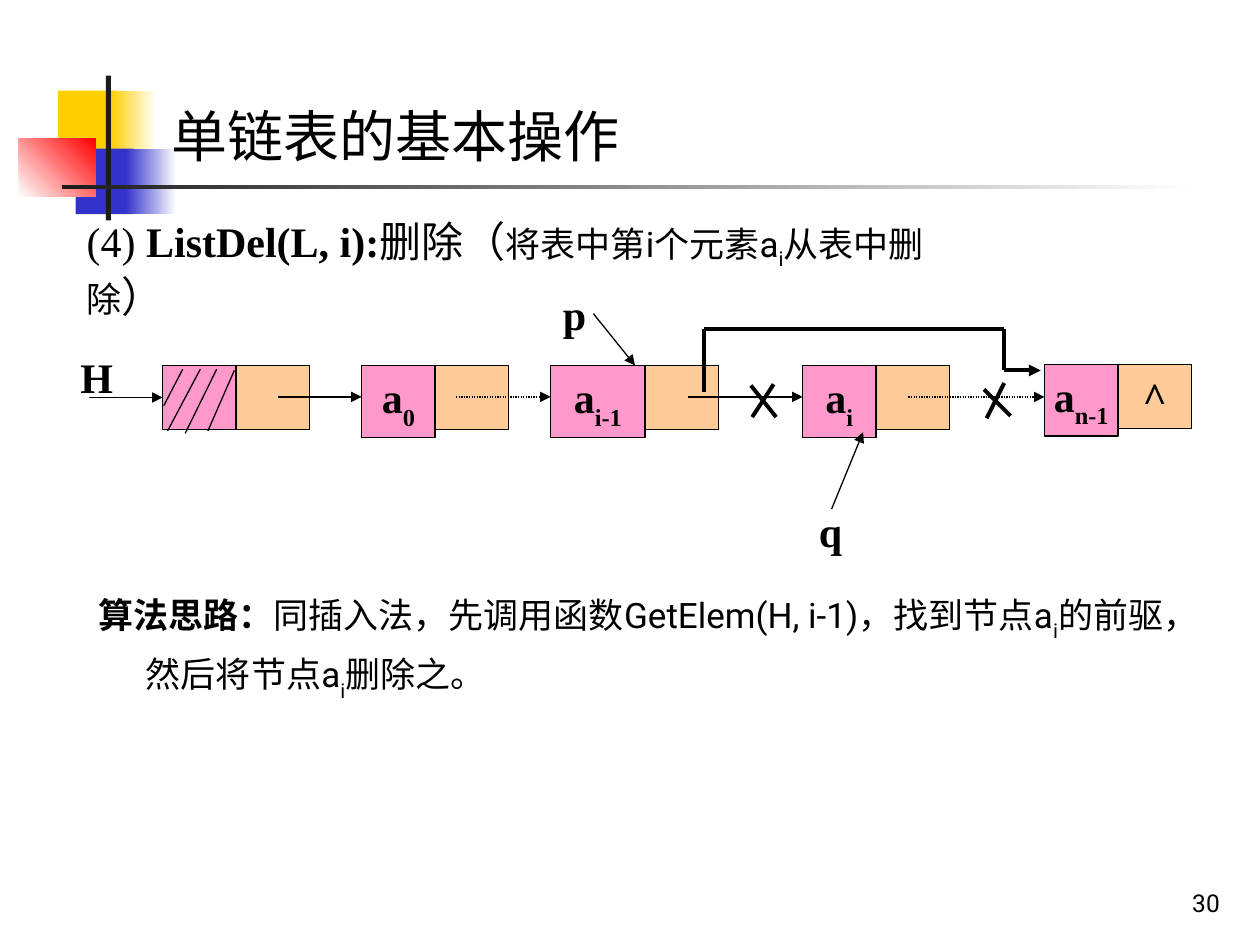
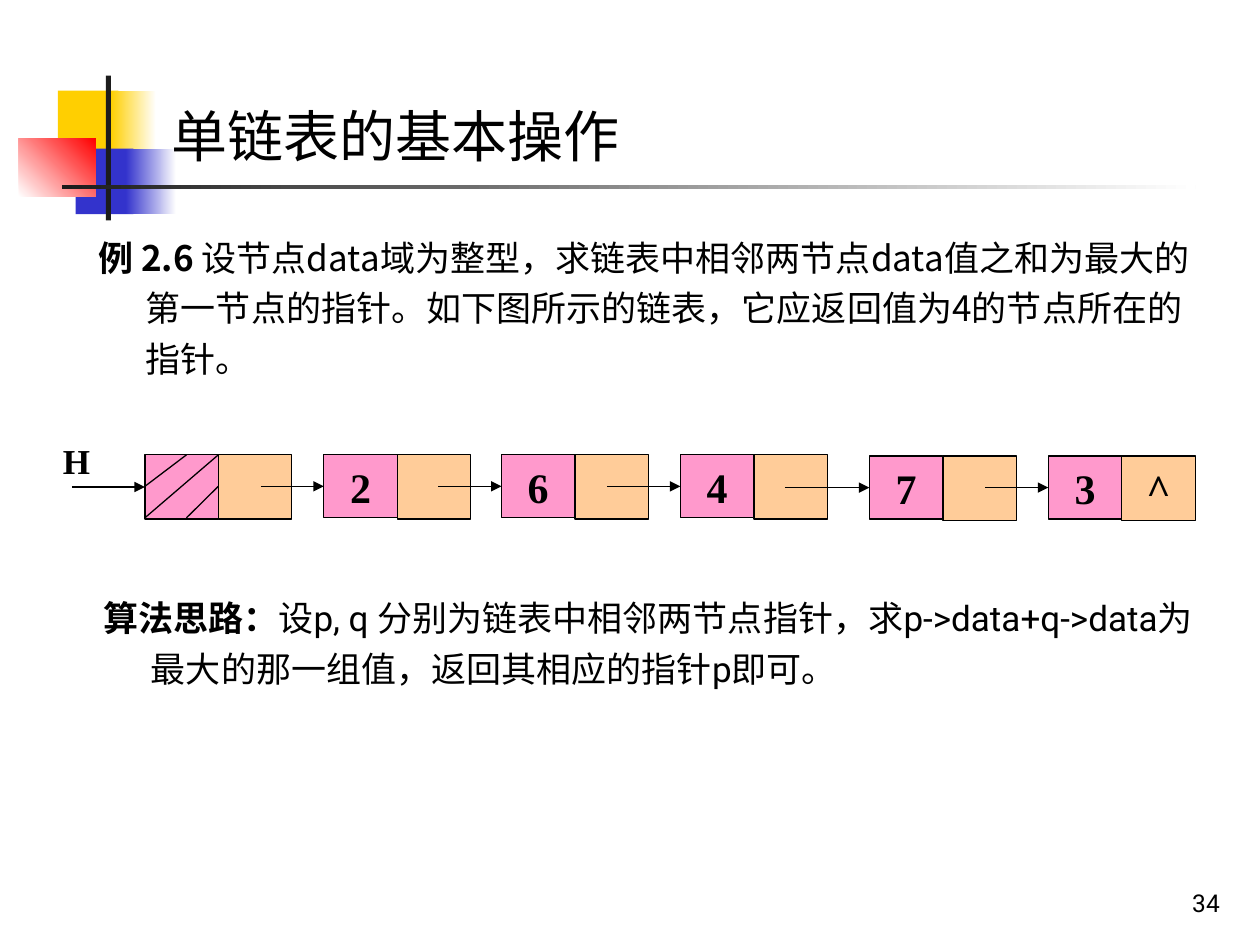
from lxml import etree
from pptx import Presentation
from pptx.dml.color import RGBColor
from pptx.enum import dml, shapes, text
from pptx.oxml import ns
from pptx.util import Inches, Pt

COLUMNS, ROWS = 100, 75
COLORS = {"black": "000000", "white": "FFFFFF", "yellow": "FFCF01", "blue": "3333CC",
          "red": "FF0000", "bar": "1C1C1C", "data": "FF99CC", "pointer": "FFCC99"}
SERIF, SANS, CJK = "Times New Roman", "Roboto", "Noto Sans CJK SC"
STYLES = {
    "title": {"size": 32, "name": "Noto Sans CJK JP", "bold": False, "before": 20},
    "heading": {"size": 24, "name": SERIF, "bold": False, "before": 15},
    "node": {"size": 24, "name": SERIF, "bold": True, "before": 15},
    "small": {"size": 20, "name": SERIF, "bold": True, "before": 12.5},
    "body": {"size": 20, "name": SANS, "bold": False, "before": 5,
             "spacing": 1.2, "hanging": 0.38},
    "number": {"size": 14, "name": SANS, "bold": False, "before": 0},
}
CELL, CELL_HEIGHT = 5.83, 5.1
LABEL = {"bold": True, "name": SERIF}


def apply(target, formats):
    for name, value in formats.items():
        setattr(target, name, value)


def color(name):
    return RGBColor.from_string(COLORS[name])


def sub(label, base=-30):
    return label, {"baseline": base}


class Deck:
    """Holds the shared style and the slide being drawn."""

    def __init__(self):
        self.presentation = Presentation()
        apply(self.presentation, {"slide_width": Inches(10), "slide_height": Inches(7.5)})
        self.slide = None

    def x(self, columns):
        return round(self.presentation.slide_width * columns / COLUMNS)

    def y(self, rows):
        return round(self.presentation.slide_height * rows / ROWS)

    def place(self, left, top, width, height):
        return self.x(left), self.y(top), self.x(width), self.y(height)

    def new_slide(self, title, number):
        self.slide = self.presentation.slides.add_slide(self.presentation.slide_layouts[6])
        # Corner blocks and rules
        self.box((4.6, 7.2, 4.8, 5.2), "yellow")
        self.fade((8.8, 7.2, 3.6, 5.2), "yellow", "white")
        self.box((6, 11.8, 4.6, 5.2), "blue")
        self.fade((10, 11.8, 4, 5.2), "blue", "white")
        self.fade((1.5, 11, 6.1, 4.6), "white", "red", 45)
        self.box((8.4, 6, 0.4, 11.5), "bar")
        self.fade((4.9, 14.7, 90, 0.3), "bar", "white")
        # Title and page number
        self.text((12.6, 7.6, 87.4, 6.4), [title], "title", grow=True)
        corner = self.text((77, 68.3, 20.8, 5), [str(number)], "number",
                           text.PP_ALIGN.RIGHT)
        corner.text_frame.vertical_anchor = text.MSO_ANCHOR.BOTTOM

    def box(self, area, fill, outlined=False):
        shape = self.slide.shapes.add_shape(shapes.MSO_SHAPE.RECTANGLE, *self.place(*area))
        shape.shadow.inherit = False
        shape.fill.solid()
        shape.fill.fore_color.rgb = color(fill)
        if outlined:
            shape.line.color.rgb = color("black")
            shape.line.width = Pt(0.75)
        else:
            shape.line.fill.background()
        return shape

    def fade(self, area, start, end, angle=0):
        fill = self.box(area, start).fill
        fill.gradient()
        fill.gradient_angle = angle
        for stop, name, position in zip(fill.gradient_stops, (start, end), (0, 1)):
            apply(stop, {"position": position})
            stop.color.rgb = color(name)

    def fill_text(self, shape, runs, style, align=text.PP_ALIGN.LEFT, grow=False):
        base = STYLES[style]
        fit = text.MSO_AUTO_SIZE.SHAPE_TO_FIT_TEXT if grow else text.MSO_AUTO_SIZE.NONE
        apply(shape.text_frame, {"word_wrap": True, "auto_size": fit,
                                 "vertical_anchor": text.MSO_ANCHOR.TOP})
        paragraph = shape.text_frame.paragraphs[0]
        apply(paragraph, {"alignment": align, "space_before": Pt(base["before"]),
                          "line_spacing": base.get("spacing", 1.0)})
        if "hanging" in base:
            indent = Inches(base["hanging"])
            properties = paragraph._p.get_or_add_pPr()
            properties.set("marL", str(indent))
            properties.set("indent", str(-indent))
        for item in runs:
            words, changes = (item, {}) if isinstance(item, str) else item
            look = {**base, **changes}
            run = paragraph.add_run()
            run.text = words
            apply(run.font, {"size": Pt(look["size"]), "bold": look["bold"],
                             "name": look["name"]})
            run.font.color.rgb = color("black")
            properties = run._r.get_or_add_rPr()
            east = look["name"] if "CJK" in look["name"] else CJK
            etree.SubElement(properties, ns.qn("a:ea")).set("typeface", east)
            if "baseline" in look:
                properties.set("baseline", str(look["baseline"] * 1000))

    def text(self, area, runs, style, align=text.PP_ALIGN.LEFT, grow=False):
        shape = self.slide.shapes.add_textbox(*self.place(*area))
        self.fill_text(shape, runs, style, align, grow)
        return shape

    def line(self, start, end, width=0.75, arrow=False, dotted=False, target=None):
        connector = self.slide.shapes.add_connector(
            shapes.MSO_CONNECTOR.STRAIGHT, self.x(start[0]), self.y(start[1]),
            self.x(end[0]), self.y(end[1]))
        if target is not None:
            connector.end_connect(target, 1)
        connector.line.color.rgb = color("black")
        connector.line.width = Pt(width)
        if dotted:
            connector.line.dash_style = dml.MSO_LINE.ROUND_DOT
        if arrow:
            outline = connector.line._get_or_add_ln()
            etree.SubElement(outline, ns.qn("a:tailEnd")).set("type", "triangle")
        etree.SubElement(connector._element.spPr, ns.qn("a:effectLst"))

    def link(self, start, target):
        """Arrow from a column to the middle of a cell's left side."""
        row = (target.top + target.height / 2) / self.y(1)
        self.line((start, row), (target.left / self.x(1), row), arrow=True, target=target)

    def node(self, left, top, label=(), width=CELL, height=CELL_HEIGHT, end="", margin=0.1):
        """Data cell and pointer cell side by side; returns the data cell."""
        pointer = self.box((left + width, top, CELL, CELL_HEIGHT), "pointer", True)
        data = self.box((left, top, width, height), "data", True)
        apply(data.text_frame, {"margin_left": Inches(margin), "margin_right": Inches(margin)})
        for cell, runs in ((data, label), (pointer, [end] if end else [])):
            if runs:
                self.fill_text(cell, runs, "node", text.PP_ALIGN.CENTER, grow=True)
        return data


def deletion_slide(deck):
    deck.new_slide("单链表的基本操作", 30)
    small = {"size": 20, "name": SANS}
    deck.text((5.9, 16.6, 74, 9.4),
              ["(4) ", ("ListDel(L, i):", {"bold": True}), "删除（",
               ("将表中第i个元素a", small), ("i", {**small, "baseline": -25}),
               ("从表中删除", small), "）"], "heading", grow=True)
    deck.text((6.8, 45.8, 91, 9.3),
              [("算法思路：", LABEL), "同插入法，先调用函数GetElem(H, i-1)，找到节点a",
               sub("i"), "的前驱，然后将节点a", sub("i"), "删除之。"], "body")

    # List nodes
    top, wire = 29, 31.5
    head = deck.node(12.9, top)
    for left, index, width in ((28.7, "0", CELL), (43.7, "i-1", 7.5), (63.7, "i", CELL)):
        deck.node(left, top, ["a", sub(index)], width, 5.7)
    deck.node(82.9, 28.9, ["a", sub("n-1")], height=5.7, end="^", margin=0.02)

    # Links, dotted where nodes are skipped
    deck.link(7.1, head)
    for start, end, dotted in ((22.1, 28.7, False), (36.2, 43.7, True),
                               (54.6, 63.7, False), (72.1, 82.9, True)):
        deck.line((start, wire), (end, wire), arrow=True, dotted=dotted)

    # Hatching of the head node
    for start, end in (((14.5, 29.3), (13, 32.2)), ((15.9, 29.3), (13.3, 34.2)),
                       ((17.2, 29.3), (14.7, 34.4)), ((18.6, 29.4), (16.5, 34.2))):
        deck.line(start, end)

    # Pointer names
    for name, area in (("H", (5.4, 27.4, 4.2, 5)), ("p", (43.7, 22.4, 6.7, 5)),
                       ("q", (64, 39.6, 5.8, 5))):
        deck.text(area, [name], "node", grow=True)
    deck.line((47.1, 24.9), (50.4, 29), arrow=True)
    deck.line((66, 40.4), (68.5, 34.3), arrow=True)

    # Bypass of the deleted node
    bypass = [(55.9, 31.1), (55.9, 26.1), (79.7, 26.1), (79.7, 29.4), (82.6, 29.4)]
    for start, end in zip(bypass, bypass[1:]):
        deck.line(start, end, 2.25, arrow=end == bypass[-1])

    # Crosses on the removed links
    for start, end in (((61.4, 30.5), (59.7, 33.1)), ((59.6, 30.6), (61.6, 33.1)),
                       ((79.7, 30.4), (78.3, 33.2)), ((78.1, 30.9), (80.2, 33))):
        deck.line(start, end, 2.25)


def example_slide(deck):
    deck.new_slide("单链表的基本操作", 34)
    example = {"name": CJK}
    deck.text((6.8, 17.6, 88.7, 16),
              [("例 2.6 ", {**example, "bold": True}),
               ("设节点data域为整型，求链表中相邻两节点data值之和为最大的第一节点的指针。"
                "如下图所示的链表，它应返回值为4的节点所在的指针。", example)], "body")
    deck.text((7.2, 46.2, 90.4, 9.8),
              [("算法思路：", LABEL),
               "设p, q 分别为链表中相邻两节点指针，求p->data+q->data为最大的那一组值，"
               "返回其相应的指针p即可。"], "body")

    # Head node with hatching
    left, top = 11.5, 36.1
    right, middle, bottom = left + CELL, top + 2.5, top + 5
    head = deck.node(left, top)
    deck.text((4, 34.4, 4.2, 4.4), ["H"], "small", grow=True)
    deck.link(5.7, head)
    for start, end in (((14.8, top), (left, middle)), ((right, top), (left, bottom)),
                       ((right, middle), (14.8, bottom))):
        deck.line(start, end)

    # Value nodes, each with the column where its incoming link starts
    for value, column, row, start, end in (
            ("2", 25.7, top, 20.7, ""), ("6", 39.8, top, 34.8, ""),
            ("4", 54, top, 48.2, ""), ("7", 69, 36.2, 62.3, ""),
            ("3", 83.2, 36.2, 78.2, "^")):
        deck.link(start, deck.node(column, row, [value], height=5, end=end))


def main():
    deck = Deck()
    deletion_slide(deck)
    example_slide(deck)
    deck.presentation.save("out.pptx")


if __name__ == "__main__":
    main()
